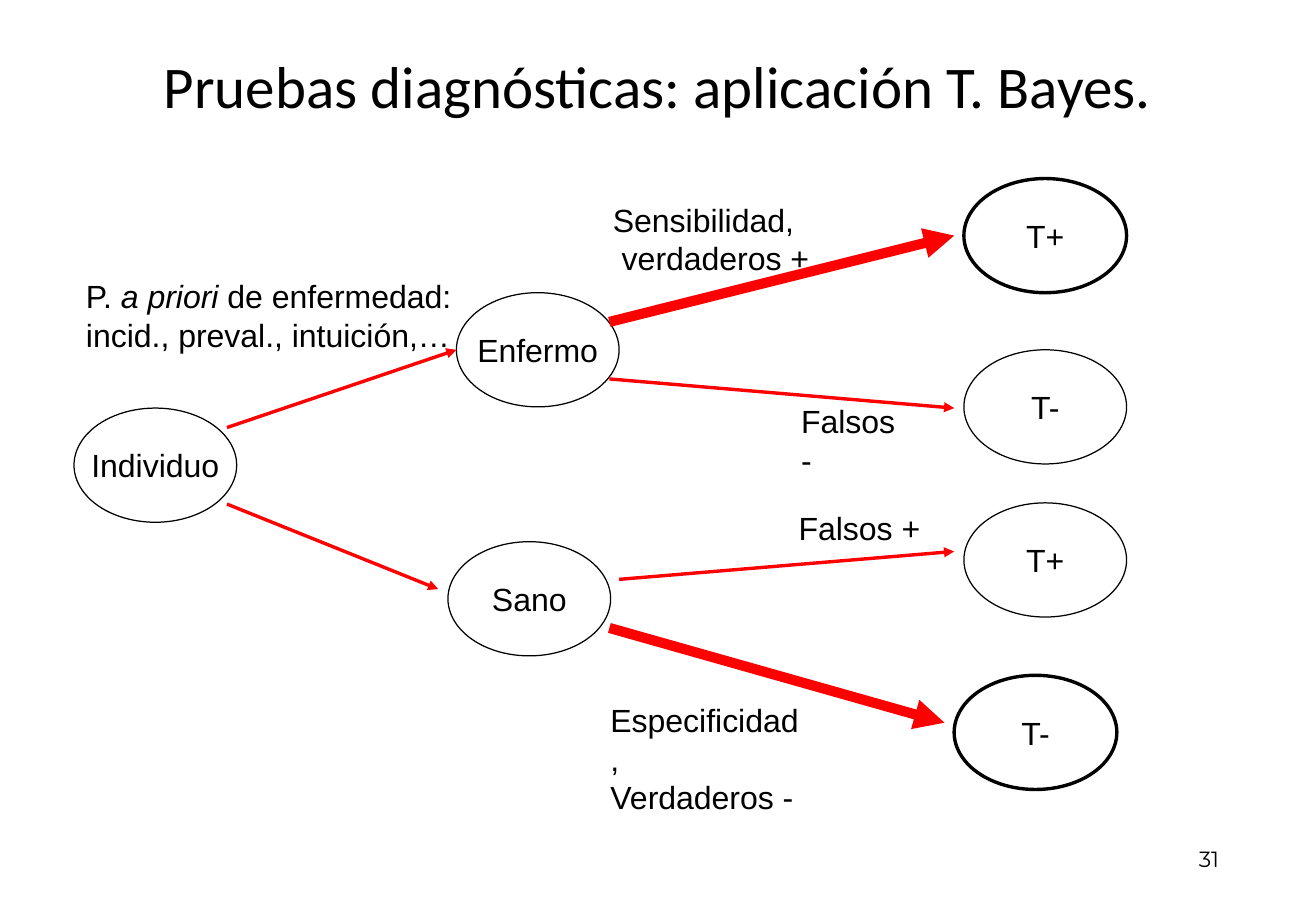
import pptx
import pptx.dml.color
import pptx.enum.shapes
import pptx.enum.text
import pptx.oxml.ns
import pptx.util
import lxml.etree

Inches = pptx.util.Inches
ALIGN = pptx.enum.text.PP_ALIGN
ANCHOR = pptx.enum.text.MSO_ANCHOR

BLACK = "000000"
RED = "FF0000"
NODE_WIDTH, NODE_HEIGHT = 1.34, 0.94
THIN, BOLD = 0.75, 2
ARROW, THICK_ARROW = 2, 6

NODES = [
    ("Individuo", 0, 1.89, THIN),
    ("Enfermo", 3.15, 0.94, THIN),
    ("Sano", 3.08, 2.99, THIN),
    ("T+", 7.33, 0, BOLD),
    ("T-", 7.33, 1.41, THIN),
    ("T+", 7.33, 2.67, THIN),
    ("T-", 7.25, 4.09, BOLD),
]
BRANCHES = [
    (1.26, 2.05, 3.15, 1.41, ARROW),
    (1.26, 2.68, 3.00, 3.38, ARROW),
    (4.41, 1.18, 7.25, 0.47, THICK_ARROW),
    (4.41, 1.65, 7.25, 1.89, ARROW),
    (4.49, 3.30, 7.25, 3.07, ARROW),
    (4.41, 3.70, 7.17, 4.48, THICK_ARROW),
]
LABELS = [
    ("P. *a priori* de enfermedad: incid., preval., intuición,…", 0, 0.76, 3.86, 0.74, True),
    ("Sensibilidad,\n verdaderos +", 4.34, 0.13, 1.82, 0.74, False),
    ("Falsos +", 5.87, 2.67, 1.2, 0.42, False),
    ("Especificidad,\nVerdaderos -", 4.32, 4.25, 1.82, 0.74, False),
    ("Falsos -", 5.89, 1.79, 1.13, 0.42, False),
]


def color(value):
    return pptx.dml.color.RGBColor.from_string(value)


def write_text(shape, text, size=19, font="Arial", align=ALIGN.LEFT,
               anchor=ANCHOR.TOP, wrap=True, spacing=1.0):
    frame = shape.text_frame
    frame.word_wrap = wrap
    frame.vertical_anchor = anchor
    for index, line in enumerate(text.split("\n")):
        paragraph = frame.add_paragraph() if index else frame.paragraphs[0]
        paragraph.alignment = align
        paragraph.line_spacing = spacing
        for position, part in enumerate(line.split("*")):
            run = paragraph.add_run()
            run.text = part
            run.font.name = font
            run.font.size = pptx.util.Pt(size)
            run.font.italic = position % 2 == 1
            run.font.color.rgb = color(BLACK)


def add_text(slide, box, text, **text_format):
    shape = slide.shapes.add_textbox(*map(Inches, box))
    write_text(shape, text, **text_format)


def add_node(slide, left, top, text, line_width):
    node = slide.shapes.add_shape(
        pptx.enum.shapes.MSO_SHAPE.OVAL, Inches(left), Inches(top),
        Inches(NODE_WIDTH), Inches(NODE_HEIGHT))
    node.shadow.inherit = False
    node.fill.background()
    node.line.color.rgb = color(BLACK)
    node.line.width = pptx.util.Pt(line_width)
    write_text(node, text, align=ALIGN.CENTER, anchor=ANCHOR.MIDDLE, wrap=False)


def add_arrow(slide, start, end, line_width):
    arrow = slide.shapes.add_connector(
        pptx.enum.shapes.MSO_CONNECTOR.STRAIGHT, *map(Inches, start + end))
    arrow.line.color.rgb = color(RED)
    arrow.line.width = pptx.util.Pt(line_width)
    qn = pptx.oxml.ns.qn
    properties = arrow.line._get_or_add_ln()
    lxml.etree.SubElement(properties, qn("a:tailEnd"), type="triangle")
    lxml.etree.SubElement(properties.getparent(), qn("a:effectLst"))


def add_tree(slide, left, top):
    for text, x, y, line_width in NODES:
        add_node(slide, left + x, top + y, text, line_width)
    for x1, y1, x2, y2, line_width in BRANCHES:
        add_arrow(slide, (left + x1, top + y1), (left + x2, top + y2), line_width)
    for text, x, y, width, height, wrap in LABELS:
        add_text(slide, (left + x, top + y, width, height), text, wrap=wrap)


def main():
    presentation = pptx.Presentation()
    presentation.slide_width = Inches(10.84)
    presentation.slide_height = Inches(7.5)
    slide = presentation.slides.add_slide(presentation.slide_layouts[6])
    add_text(slide, (1.25, 0.38, 8.43, 0.71),
             "Pruebas diagnósticas: aplicación T. Bayes.",
             size=35, font="Calibri", anchor=ANCHOR.MIDDLE, spacing=0.9)
    add_text(slide, (7.7, 6.87, 2.44, 0.4), "31", size=13, font="Montserrat",
             align=ALIGN.RIGHT, anchor=ANCHOR.MIDDLE)
    add_tree(slide, 0.61, 1.47)
    presentation.save("out.pptx")


if __name__ == "__main__":
    main()
